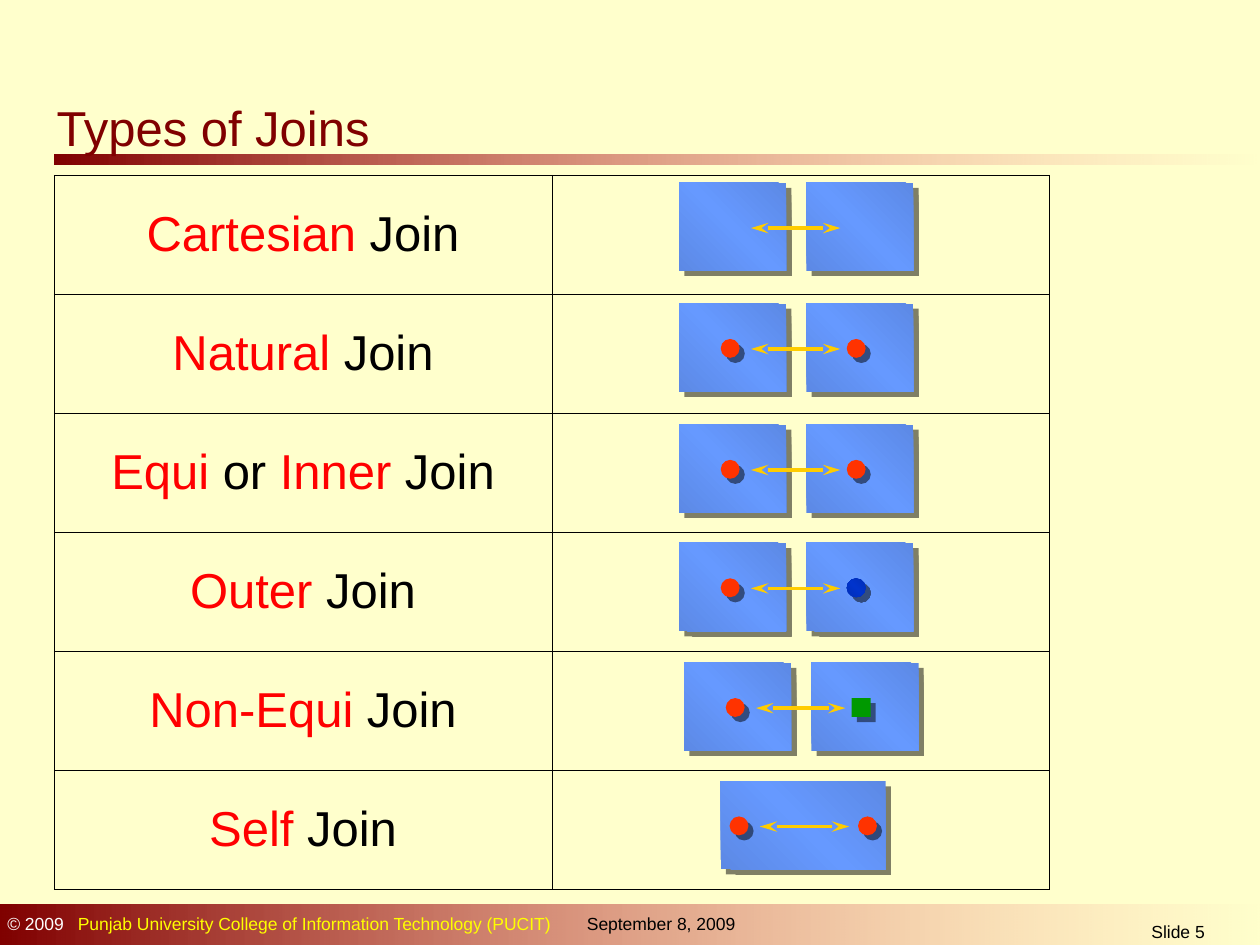
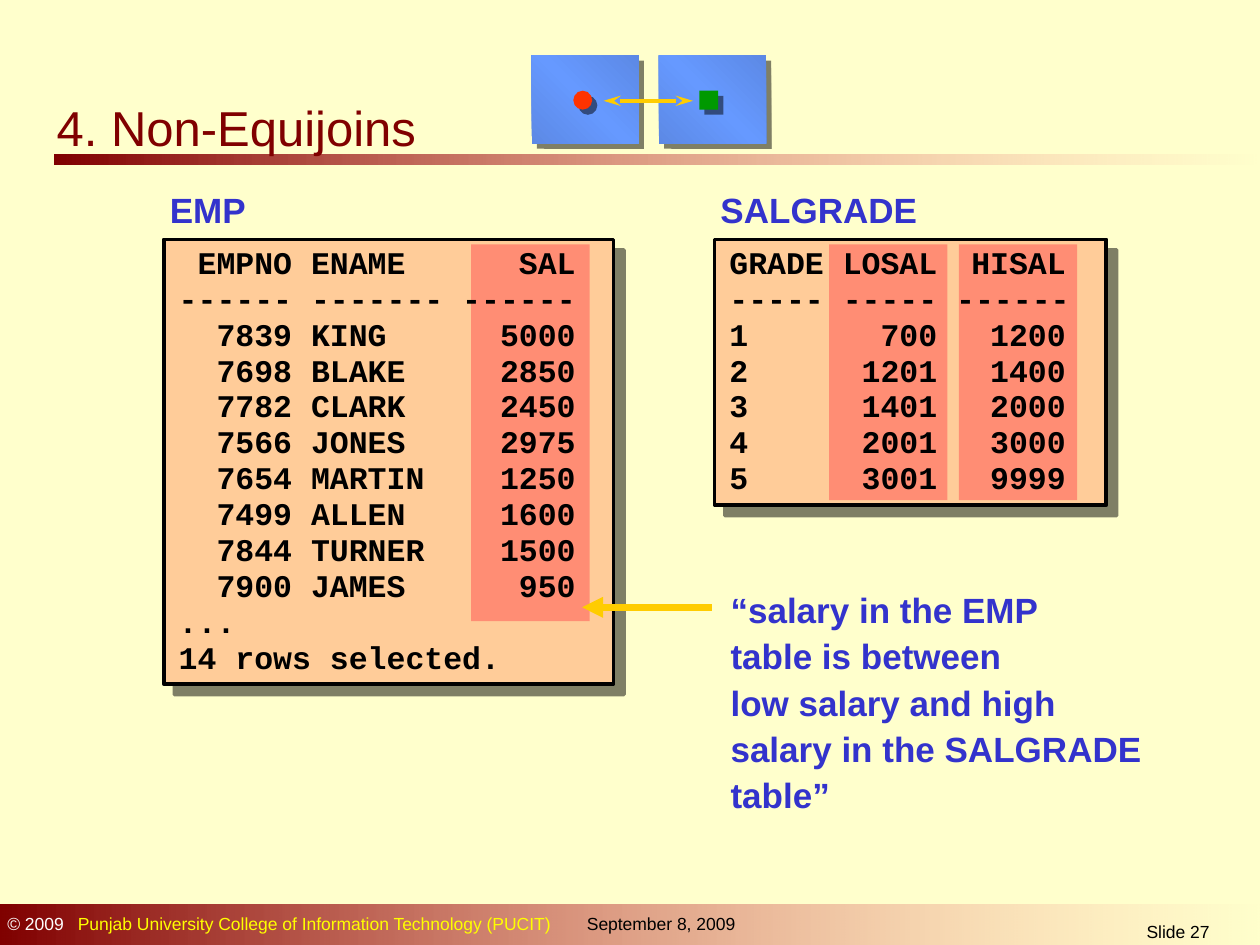
from dataclasses import dataclass

from lxml import etree
from pptx import Presentation
from pptx.dml.color import RGBColor
from pptx.enum.shapes import MSO_CONNECTOR, MSO_SHAPE
from pptx.enum.text import MSO_ANCHOR, MSO_AUTO_SIZE, PP_ALIGN
from pptx.oxml.ns import qn
from pptx.util import Inches, Pt

RECTANGLE, OVAL = MSO_SHAPE.RECTANGLE, MSO_SHAPE.OVAL
STRAIGHT = MSO_CONNECTOR.STRAIGHT
LEFT, CENTER = PP_ALIGN.LEFT, PP_ALIGN.CENTER
TOP, MIDDLE, BOTTOM = MSO_ANCHOR.TOP, MSO_ANCHOR.MIDDLE, MSO_ANCHOR.BOTTOM
NO_AUTOFIT = MSO_AUTO_SIZE.NONE


@dataclass(frozen=True)
class Theme:
    """Colours, fonts and type sizes shared by the slides."""
    background: str = "FFFFCC"
    maroon: str = "800000"
    band: tuple = ((0, "800000", 100), (100, "FF8585", 0))
    tile: tuple = ((0, "5C89E5", 100), (50, "6699FF", 100), (100, "5C89E5", 100))
    blue_dot: tuple = ((0, "002EB7", 100), (50, "0033CC", 100), (100, "002EB7", 100))
    red_dot: str = "FF3300"
    green: str = "009900"
    arrow: str = "FFCC00"
    black: str = "000000"
    white: str = "FFFFFF"
    yellow: str = "FFFF00"
    red: str = "FF0000"
    label: str = "3333CC"
    panel: str = "FFCC99"
    highlight: str = "FF5050"
    sans: str = "Arial"
    mono: str = "Courier New"
    title_size: int = 28
    label_size: int = 20
    listing_size: int = 18
    footer_size: int = 10


THEME = Theme()
RED_DOT = (OVAL, THEME.red_dot)
BLUE_DOT = (OVAL, THEME.blue_dot)
GREEN_SQUARE = (RECTANGLE, THEME.green)

JOINS = [
    ([("Cartesian", THEME.red), " Join"], 5.39, 1.45, ()),
    ([("Natural", THEME.red), " Join"], 5.39, 2.41, (RED_DOT, RED_DOT)),
    ([("Equi", THEME.red), " or ", ("Inner", THEME.red), " Join"], 5.39, 3.37, (RED_DOT, RED_DOT)),
    ([("Outer", THEME.red), " Join"], 5.39, 4.31, (RED_DOT, BLUE_DOT)),
    ([("Non-Equi", THEME.red), " Join"], 5.43, 5.26, (RED_DOT, GREEN_SQUARE)),
    ([("Self", THEME.red), " Join"], 5.72, 6.2, (RED_DOT, RED_DOT)),
]

EMPLOYEES = [
    "\tEMPNO\tENAME\tSAL",
    "------ ------- ------",
    "\t7839\tKING\t5000",
    "\t7698\tBLAKE\t2850",
    "\t7782\tCLARK\t2450",
    "\t7566\tJONES\t2975",
    "\t7654\tMARTIN\t1250",
    "\t7499\tALLEN\t1600",
    "\t7844\tTURNER\t1500",
    "\t7900\tJAMES\t950",
    "...",
    "14 rows selected.",
]

GRADES = [
    "GRADE\tLOSAL\tHISAL",
    "----- ----- ------",
    "1\t700\t1200",
    "2\t1201\t1400",
    "3\t1401\t2000",
    "4\t2001\t3000",
    "5\t3001\t9999",
]

EXPLANATION = [
    "“salary in the EMP",
    "table is between",
    "low salary and high",
    "salary in the SALGRADE",
    "table”",
]


def write_text(frame, paragraphs, *, size, color=THEME.black, font=THEME.sans, bold=False,
               align=LEFT, anchor=TOP, spacing=1.0, tabs=()):
    """Fill a text frame; each paragraph is a string or a list of runs."""
    frame.word_wrap = True
    frame.auto_size = NO_AUTOFIT
    frame.vertical_anchor = anchor
    for index, content in enumerate(paragraphs):
        paragraph = frame.add_paragraph() if index else frame.paragraphs[0]
        if tabs:
            properties = paragraph._p.get_or_add_pPr()
            tab_list = etree.SubElement(properties, qn("a:tabLst"))
            for position, side in tabs:
                etree.SubElement(tab_list, qn("a:tab"), pos=str(Inches(position)), algn=side)
        paragraph.alignment = align
        paragraph.line_spacing = spacing
        for part in [content] if isinstance(content, str) else content:
            text, run_color = (part, color) if isinstance(part, str) else part
            run = paragraph.add_run()
            run.text = text
            run.font.size = Pt(size)
            run.font.name = font
            run.font.bold = bold
            run.font.color.rgb = RGBColor.from_string(run_color)


def add_text(slide, paragraphs, left, top, width, height, **text_format):
    """Add a text box with formatted text."""
    box = slide.shapes.add_textbox(Inches(left), Inches(top), Inches(width), Inches(height))
    write_text(box.text_frame, paragraphs, **text_format)


def add_color(parent, color, opacity=100):
    """Append an RGB colour with its opacity to an XML element."""
    element = etree.SubElement(parent, qn("a:srgbClr"), val=color)
    if opacity < 100:
        etree.SubElement(element, qn("a:alpha"), val=str(opacity * 1000))


def add_block(shapes, kind, left, top, width, height, fill, *, angle=0, opacity=100,
              outline=None, shadow=0):
    """Add a preset shape with a solid or gradient fill and an optional hard shadow."""
    shape = shapes.add_shape(kind, Inches(left), Inches(top), Inches(width), Inches(height))
    properties = shape.element.spPr
    if isinstance(fill, str):
        shape.fill.solid()
        shape.fill.fore_color.rgb = RGBColor.from_string(fill)
        solid = properties.find(qn("a:solidFill"))
        solid.clear()
        add_color(solid, fill, opacity)
    else:
        shape.fill.gradient()
        shape.fill.gradient_angle = angle
        stops = properties.find(qn("a:gradFill")).find(qn("a:gsLst"))
        stops.clear()
        for position, color, stop_opacity in fill:
            stop = etree.SubElement(stops, qn("a:gs"), pos=str(position * 1000))
            add_color(stop, color, stop_opacity)
    if outline:
        shape.line.color.rgb = RGBColor.from_string(outline)
        shape.line.width = Pt(2)
    else:
        shape.line.fill.background()
    shape.shadow.inherit = False
    if shadow:
        effects = properties.find(qn("a:effectLst"))
        outer = etree.SubElement(effects, qn("a:outerShdw"), blurRad="0",
                                 dist=str(Pt(shadow)), dir=str(45 * 60000), algn="ctr",
                                 rotWithShape="0")
        add_color(outer, THEME.black, 50)


def add_arrow(shapes, start, end, y, width, length="med", **heads):
    """Add a horizontal arrow whose heads are given as headEnd and tailEnd."""
    connector = shapes.add_connector(STRAIGHT, Inches(start), Inches(y), Inches(end), Inches(y))
    connector.line.color.rgb = RGBColor.from_string(THEME.arrow)
    connector.line.width = Pt(width)
    properties = connector.element.spPr
    for name, kind in heads.items():
        etree.SubElement(properties.find(qn("a:ln")), qn(f"a:{name}"), type=kind, len=length)
    etree.SubElement(properties, qn("a:effectLst"))


def add_join_diagram(slide, left, top, markers, self_join=False):
    """Draw the tiles of a join, their markers and the arrow between them."""
    shapes = slide.shapes.add_group_shape().shapes
    tiles = [(0, 1.31)] if self_join else [(0, 0.85), (1.01, 0.85)]
    offsets = (0.07, 1.09) if self_join else (0.33, 1.33)
    arrow_start = 0.31 if self_join else 0.57
    for offset, width in tiles:
        add_block(shapes, RECTANGLE, left + offset, top, width, 0.7, THEME.tile,
                  angle=45, shadow=4.2)
    for offset, (kind, fill) in zip(offsets, markers):
        add_block(shapes, kind, left + offset, top + 0.28, 0.15, 0.15, fill,
                  angle=45, shadow=4.2)
    add_arrow(shapes, left + arrow_start, left + arrow_start + 0.71, top + 0.36, 2,
              length="lg", headEnd="stealth", tailEnd="stealth")


def add_frame(presentation, title, number):
    """Add a title-only slide with its title, bands and footer."""
    slide = presentation.slides.add_slide(presentation.slide_layouts[5])
    add_block(slide.shapes, RECTANGLE, 0.43, 1.23, 9.57, 0.08, THEME.band)
    add_block(slide.shapes, RECTANGLE, 0, 7.18, 10.03, 0.35, THEME.band)
    footer = [("© 2009", THEME.white),
              ("\tPunjab University College of Information Technology (PUCIT)", THEME.yellow)]
    add_text(slide, [footer], -0.04, 7.2, 6.46, 0.27, size=THEME.footer_size, tabs=[(0.56, "l")])
    add_text(slide, ["September 8, 2009"], 4.56, 7.2, 1.54, 0.27, size=THEME.footer_size)
    add_text(slide, [f"Slide {number}"], 8.31, 7.26, 2.08, 0.24, size=THEME.footer_size,
             align=CENTER)
    heading = slide.shapes.title
    heading.left, heading.top = Inches(0.35), Inches(0.7)
    heading.width, heading.height = Inches(3.7), Inches(0.59)
    write_text(heading.text_frame, [title], size=THEME.title_size, color=THEME.maroon,
               anchor=BOTTOM)
    heading.element.getparent().append(heading.element)
    return slide


def add_join_table(slide, left, top, width, height):
    """Add the ruled table of join names with an empty column for the diagrams."""
    frame = slide.shapes.add_table(len(JOINS), 2, Inches(left), Inches(top),
                                   Inches(width), Inches(height))
    table = frame.table
    table.first_row = table.horz_banding = False
    for row, (name, *_) in enumerate(JOINS):
        for column in range(2):
            table.cell(row, column).fill.background()
        name_cell = table.cell(row, 0)
        write_text(name_cell.text_frame, [name], size=THEME.title_size, align=CENTER)
        name_cell.vertical_anchor = MIDDLE
    for properties in frame.element.iter(qn("a:tcPr")):
        for index, side in enumerate(("lnL", "lnR", "lnT", "lnB")):
            border = etree.Element(qn(f"a:{side}"), w=str(Pt(0.45)))
            add_color(etree.SubElement(border, qn("a:solidFill")), THEME.black)
            properties.insert(index, border)


def add_listing(slide, name, lines, left, top, width, height, highlights, highlight_height, tabs):
    """Add a labelled panel with highlighted columns and monospaced rows."""
    add_text(slide, [name], left - 0.05, top - 0.45, 2, 0.43, size=THEME.label_size,
             color=THEME.label, bold=True)
    add_block(slide.shapes, RECTANGLE, left, top, width, height, THEME.panel,
              outline=THEME.black, shadow=8.5)
    for offset in highlights:
        add_block(slide.shapes, RECTANGLE, left + offset, top + 0.04, 0.94, highlight_height,
                  THEME.highlight, opacity=50)
    add_text(slide, lines, left + 0.02, top, width - 0.02, height, size=THEME.listing_size,
             font=THEME.mono, bold=True, spacing=0.95, tabs=tabs)


def build_join_types(presentation):
    """Build the overview of join types."""
    slide = add_frame(presentation, "Types of Joins", 5)
    add_join_table(slide, 0.43, 1.39, 7.9, 5.67)
    for name, left, top, markers in JOINS:
        add_join_diagram(slide, left, top, markers, self_join=name[0][0] == "Self")


def build_non_equijoins(presentation):
    """Build the non-equijoin example with its two listings."""
    slide = add_frame(presentation, "4. Non-Equijoins", 27)
    add_listing(slide, "EMP", EMPLOYEES, 1.3, 1.9, 3.57, 3.53, [2.44], 2.99,
                [(0.9, "r"), (1.05, "l"), (3.15, "r")])
    add_listing(slide, "SALGRADE", GRADES, 5.67, 1.9, 3.11, 2.11, [0.91, 1.94], 2.03,
                [(1.65, "r"), (2.67, "r")])
    add_text(slide, EXPLANATION, 5.7, 4.59, 3.6, 1.93, size=THEME.label_size,
             color=THEME.label, bold=True, spacing=1.1)
    add_arrow(slide.shapes, 5.65, 4.62, 4.82, 4, tailEnd="triangle")
    add_join_diagram(slide, 4.22, 0.44, (RED_DOT, GREEN_SQUARE))


def main():
    """Create and save the presentation."""
    presentation = Presentation()
    presentation.slide_width, presentation.slide_height = Inches(10), Inches(7.5)
    background = presentation.slide_master.background.fill
    background.solid()
    background.fore_color.rgb = RGBColor.from_string(THEME.background)
    build_join_types(presentation)
    build_non_equijoins(presentation)
    presentation.save("out.pptx")


if __name__ == "__main__":
    main()
